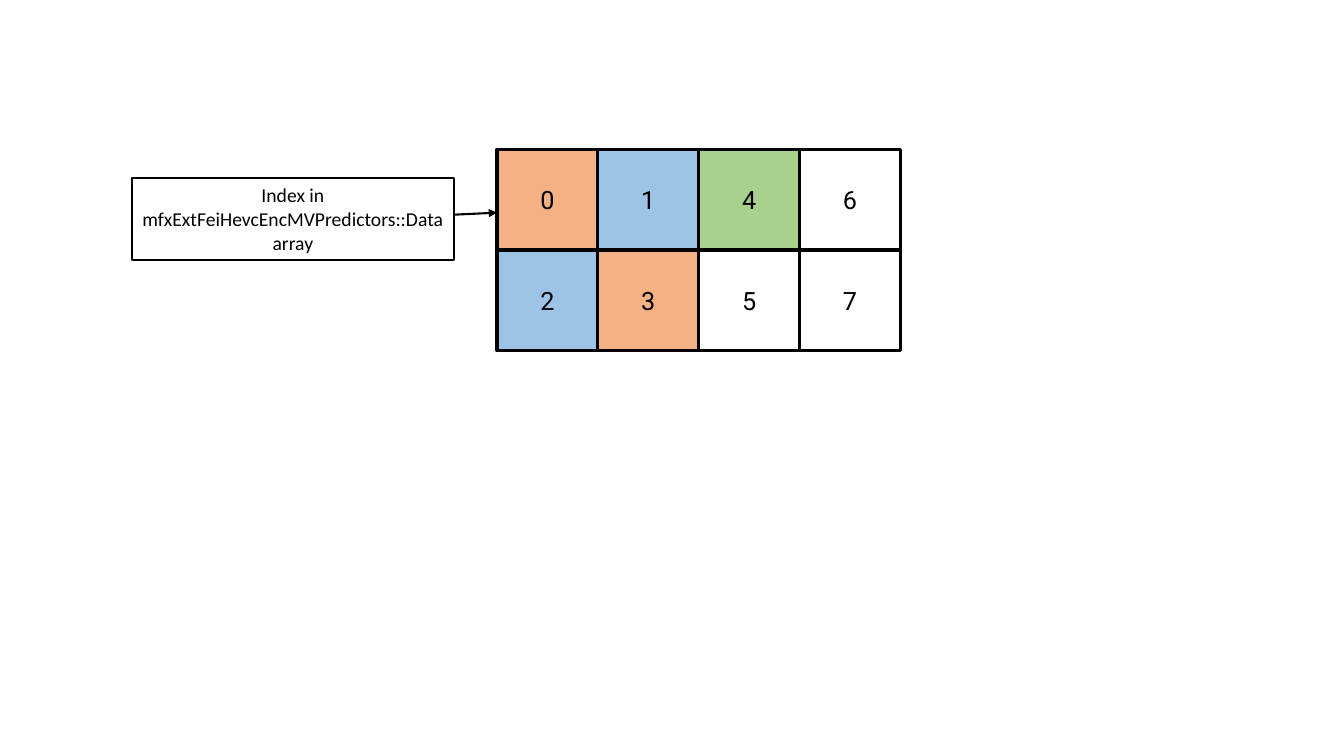
"""Build a slide of numbered predictor blocks with an index label."""
from dataclasses import dataclass
from typing import Optional

from pptx import Presentation, util as u
from pptx.dml import color
from pptx.enum import shapes, text
from pptx.oxml import ns, xmlchemy as xml

PX = 9144
HUES = {"ink": "000000", "peach": "F4B183", "sky": "9DC3E6", "leaf": "A9D18E"}
LEFT, TOP, SIDE = 493, 148, 100
KIND = shapes.MSO_SHAPE


@dataclass(frozen=True)
class Block:
    label: str
    hue: Optional[str] = None


GRID = [
    [Block("0", "peach"), Block("1", "sky"), Block("4", "leaf"), Block("6")],
    [Block("2", "sky"), Block("3", "peach"), Block("5"), Block("7")],
]


def px(num: int) -> u.Emu:
    return u.Emu(num * PX)


def rgb(hue: str) -> color.RGBColor:
    return color.RGBColor.from_string(HUES[hue])


def write(shape, words: str, *, font: str, size: int, anchor, pad: int = 10) -> None:
    frame = shape.text_frame
    frame.word_wrap = True
    frame.vertical_anchor = anchor
    frame.margin_left = frame.margin_right = px(pad)
    par = frame.paragraphs[0]
    par.alignment = text.PP_ALIGN.CENTER
    run = par.add_run()
    run.text = words
    run.font.name = font
    run.font.size = u.Pt(size)
    run.font.color.rgb = rgb("ink")


def edge(line, width: float) -> None:
    line.color.rgb = rgb("ink")
    line.width = u.Pt(width)


def box(slide, kind, area: tuple[int, int, int, int], width: float,
        hue: Optional[str] = None):
    shape = slide.shapes.add_shape(kind, *map(px, area))
    shape.shadow.inherit = False
    if hue:
        shape.fill.solid()
        shape.fill.fore_color.rgb = rgb(hue)
    else:
        shape.fill.background()
    edge(shape.line, width)
    return shape


def arrow(slide, start: tuple[int, int], end: tuple[int, int]) -> None:
    link = slide.shapes.add_connector(
        shapes.MSO_CONNECTOR.STRAIGHT, *map(px, start + end))
    edge(link.line, 1.5)
    head = xml.OxmlElement("a:tailEnd")
    head.set("type", "triangle")
    props = link._element.spPr
    props.find(ns.qn("a:ln")).append(head)
    props.append(xml.OxmlElement("a:effectLst"))


def main() -> None:
    deck = Presentation()
    deck.slide_width, deck.slide_height = px(1333), px(750)
    slide = deck.slides.add_slide(deck.slide_layouts[6])
    for row, blocks in enumerate(GRID):
        for col, block in enumerate(blocks):
            area = (LEFT + col * SIDE, TOP + row * SIDE, SIDE, SIDE)
            shape = box(slide, KIND.FLOWCHART_PROCESS, area, 2.25, block.hue)
            write(shape, block.label, font="Roboto", size=18,
                  anchor=text.MSO_ANCHOR.MIDDLE)
    arrow(slide, (450, 213), (LEFT, 211))
    label = box(slide, KIND.RECTANGLE, (131, 177, 319, 81), 1.5)
    write(label, "Index in mfxExtFeiHevcEncMVPredictors::Data array",
          font="Calibri", size=14, anchor=text.MSO_ANCHOR.TOP, pad=8)
    label.text_frame.auto_size = text.MSO_AUTO_SIZE.SHAPE_TO_FIT_TEXT
    deck.save("out.pptx")


if __name__ == "__main__":
    main()
